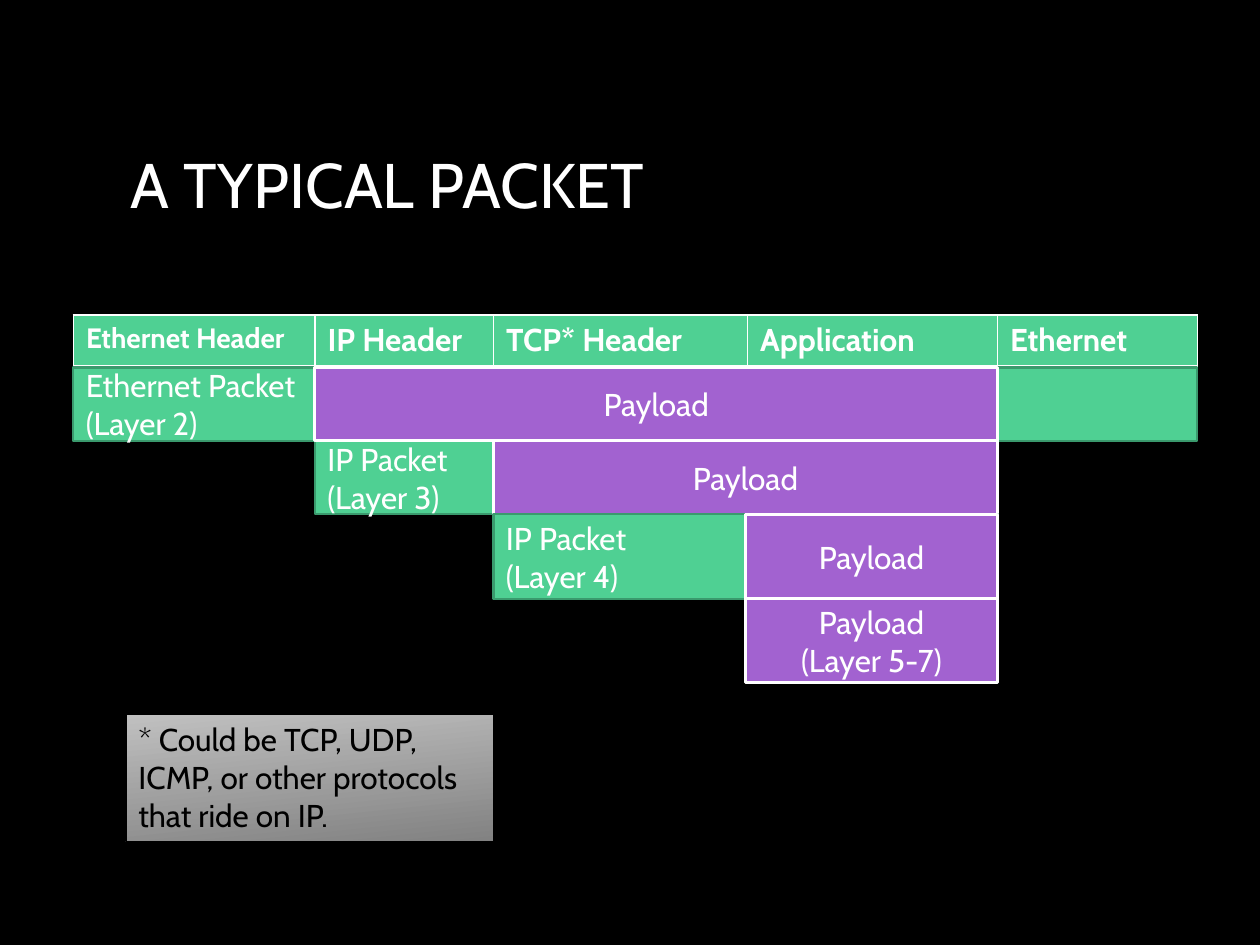
from lxml.etree import SubElement
from pptx import Presentation
from pptx.dml.color import RGBColor
from pptx.enum.shapes import MSO_SHAPE
from pptx.enum.text import MSO_ANCHOR, MSO_AUTO_SIZE, PP_ALIGN
from pptx.oxml.ns import qn
from pptx.util import Cm, Pt

BLACK = RGBColor(0x00, 0x00, 0x00)
WHITE = RGBColor(0xFF, 0xFF, 0xFF)
GREEN = RGBColor(0x4F, 0xD0, 0x93)
DARK_GREEN = RGBColor(0x3A, 0x9A, 0x6D)
PURPLE = RGBColor(0xA2, 0x62, 0xD0)
LIGHT_GREY = RGBColor(0xC0, 0xC0, 0xC0)
GREY = RGBColor(0x82, 0x82, 0x82)
FONT = "Cabin"


def write(frame, text, size, color, align=PP_ALIGN.LEFT, bold=False):
    frame.text = text
    frame.word_wrap = True
    for para in frame.paragraphs:
        para.alignment = align
        para.font.name = FONT
        para.font.size = Pt(size)
        para.font.bold = bold
        para.font.color.rgb = color


def add_rectangle(left, top, width, height, line_color, line_width):
    box = page.shapes.add_shape(
        MSO_SHAPE.RECTANGLE, Cm(left), Cm(top), Cm(width), Cm(height)
    )
    box.shadow.inherit = False
    box.line.color.rgb = line_color
    box.line.width = Pt(line_width)
    return box


deck = Presentation()
deck.slide_width = Cm(25.4)
deck.slide_height = Cm(19.05)
page = deck.slides.add_slide(deck.slide_layouts[6])
page.background.fill.solid()
page.background.fill.fore_color.rgb = BLACK

title = page.shapes.add_textbox(Cm(2.39), Cm(1.73), Cm(20.62), Cm(4.11))
title.text_frame.vertical_anchor = MSO_ANCHOR.MIDDLE
write(title.text_frame, "A TYPICAL PACKET", 36, WHITE)
title.text_frame.paragraphs[0].line_spacing = 0.9

# Header row: text, column width, font size
headers = [
    ("Ethernet Header", 4.87, 16),
    ("IP Header", 3.6, 18),
    ("TCP* Header", 5.12, 18),
    ("Application", 5.04, 18),
    ("Ethernet", 4.03, 18),
]
borders = {"a:lnL": 1, "a:lnR": 1, "a:lnT": 1, "a:lnB": 3}
table = page.shapes.add_table(
    1, len(headers), Cm(1.48), Cm(6.35), Cm(22.66), Cm(1.05)
).table
for index, (text, width, size) in enumerate(headers):
    table.columns[index].width = Cm(width)
    cell = table.cell(0, index)
    write(cell.text_frame, text, size, WHITE, bold=True)
    properties = cell._tc.get_or_add_tcPr()
    for tag, points in borders.items():
        border = SubElement(properties, qn(tag), w=str(Pt(points)))
        solid = SubElement(border, qn("a:solidFill"))
        SubElement(solid, qn("a:srgbClr"), val=str(WHITE))
    cell.fill.solid()
    cell.fill.fore_color.rgb = GREEN

# Layers: text, left, top, right, bottom, is payload
layers = [
    ("Ethernet Packet\n(Layer 2)", 1.48, 7.41, 24.13, 8.89, False),
    ("IP Packet\n(Layer 3)", 6.35, 8.89, 20.11, 10.37, False),
    ("Payload", 6.35, 7.41, 20.11, 8.89, True),
    ("Payload", 9.95, 8.89, 20.11, 10.37, True),
    ("IP Packet\n(Layer 4)", 9.95, 10.37, 20.11, 12.07, False),
    ("Payload", 15.03, 10.37, 20.11, 12.07, True),
    ("Payload\n(Layer 5-7)", 15.03, 12.07, 20.11, 13.76, True),
]
for text, left, top, right, bottom, is_payload in layers:
    line_color, line_width = (WHITE, 1.75) if is_payload else (DARK_GREEN, 1.25)
    layer = add_rectangle(
        left, top, right - left, bottom - top, line_color, line_width
    )
    layer.fill.solid()
    layer.fill.fore_color.rgb = PURPLE if is_payload else GREEN
    layer.text_frame.vertical_anchor = MSO_ANCHOR.MIDDLE
    align = PP_ALIGN.CENTER if is_payload else PP_ALIGN.LEFT
    write(layer.text_frame, text, 18, WHITE, align)

note = add_rectangle(2.54, 14.4, 7.42, 2.56, BLACK, 0.75)
note.fill.gradient()
note.fill.gradient_angle = 360 - 84
for stop, color in zip(note.fill.gradient_stops, (LIGHT_GREY, GREY)):
    stop.color.rgb = color
note.text_frame.vertical_anchor = MSO_ANCHOR.TOP
note.text_frame.auto_size = MSO_AUTO_SIZE.SHAPE_TO_FIT_TEXT
write(
    note.text_frame,
    "* Could be TCP, UDP, ICMP, or other protocols that ride on IP.",
    18,
    BLACK,
)

deck.save("out.pptx")
